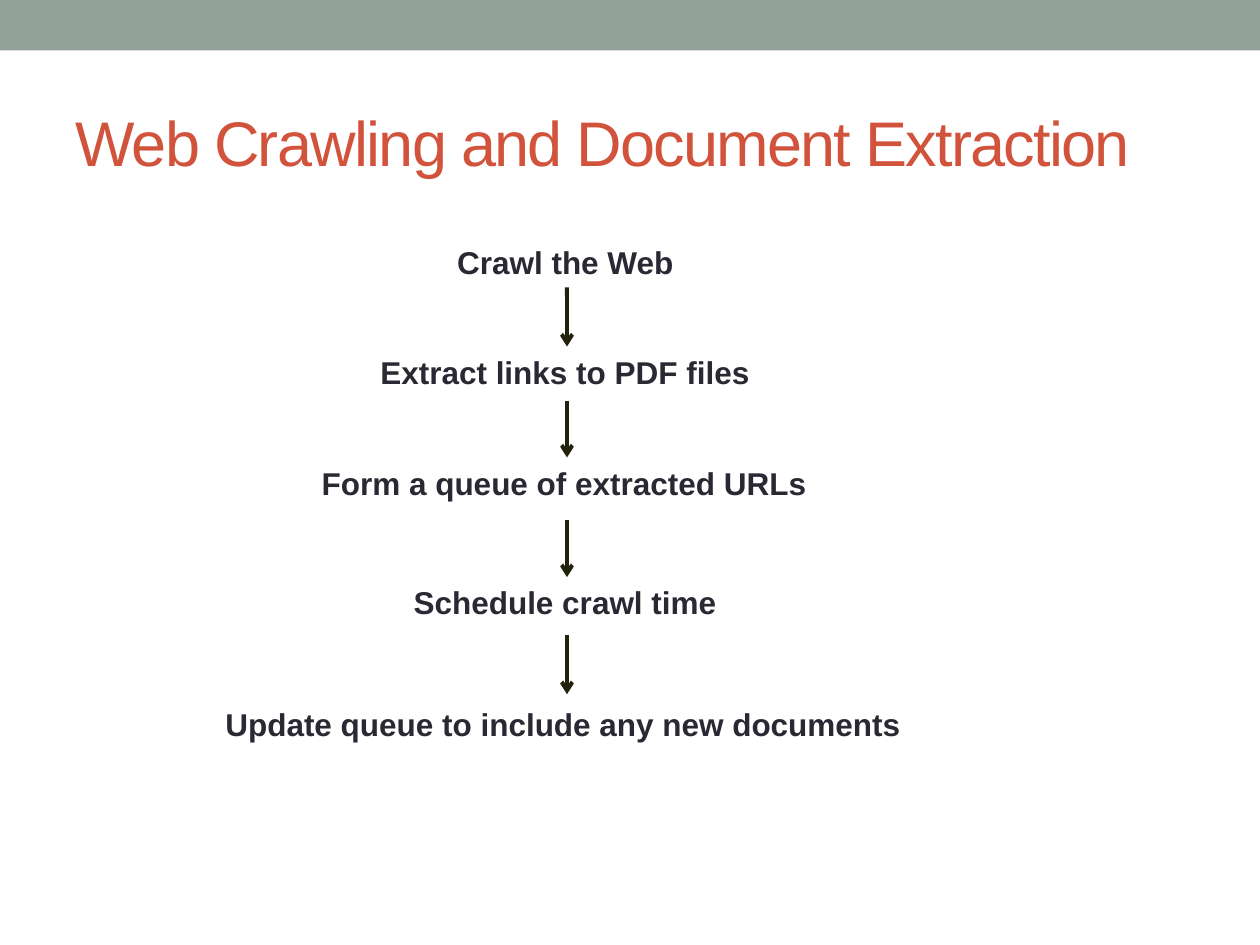
from lxml import etree
from pptx import Presentation
from pptx.dml.color import RGBColor
from pptx.enum.shapes import MSO_CONNECTOR, MSO_SHAPE
from pptx.enum.text import MSO_ANCHOR, MSO_AUTO_SIZE
from pptx.oxml.ns import qn
from pptx.util import Pt

RECT = MSO_SHAPE.RECTANGLE
STRAIGHT = MSO_CONNECTOR.STRAIGHT
TOP, MIDDLE = MSO_ANCHOR.TOP, MSO_ANCHOR.MIDDLE
FIT, NO_FIT = MSO_AUTO_SIZE.SHAPE_TO_FIT_TEXT, MSO_AUTO_SIZE.NONE

SAGE = RGBColor(0x93, 0xA2, 0x99)
RED = RGBColor(0xD2, 0x53, 0x3C)
INK = RGBColor(0x29, 0x29, 0x34)
ARROW = RGBColor(0x22, 0x21, 0x0C)

CENTER_X = 324
STEP_H = 28.8
JOIN_GAP = 2
STEPS = [
    ("Crawl the Web", 135.4, 139.7),
    ("Extract links to PDF files", 198, 227.5),
    ("Form a queue of extracted URLs", 261.4, 294.5),
    ("Schedule crawl time", 329.8, 189.4),
    ("Update queue to include any new documents", 399.6, 404.6),
]
ARROWS = [(165, 198), (229, 262.8), (297.4, 330.5), (362.9, 396.7)]


def add_band(s, x, y, w, h, color):
    sp = s.shapes.add_shape(RECT, Pt(x), Pt(y), Pt(w), Pt(h))
    sp.shadow.inherit = False
    sp.fill.solid()
    sp.fill.fore_color.rgb = color
    sp.line.fill.background()


def add_text(s, text, x, y, w, h, size=18, color=INK, bold=False,
             anchor=TOP, wrap=False, fit=FIT, spacing=None):
    sp = s.shapes.add_textbox(Pt(x), Pt(y), Pt(w), Pt(h))
    tf = sp.text_frame
    tf.word_wrap = wrap
    tf.auto_size = fit
    tf.vertical_anchor = anchor
    r = tf.paragraphs[0].add_run()
    r.text = text
    r.font.name = "Arial"
    r.font.size = Pt(size)
    r.font.bold = bold
    r.font.color.rgb = color
    if spacing is not None:
        r.font._element.set("spc", str(round(spacing * 100)))
    return sp


def add_arrow(s, upper, lower, y1, y2):
    cx = s.shapes.add_connector(STRAIGHT, Pt(CENTER_X), Pt(y1), Pt(CENTER_X), Pt(y2))
    cx.line.color.rgb = ARROW
    cx.line.width = Pt(2.25)
    etree.SubElement(cx.line._get_or_add_ln(), qn("a:tailEnd"), type="arrow")
    etree.SubElement(cx._element.spPr, qn("a:effectLst"))
    if abs(Pt(y1) - upper.top - upper.height) <= Pt(JOIN_GAP):
        cx.begin_connect(upper, 2)
    if abs(Pt(y2) - lower.top) <= Pt(JOIN_GAP):
        cx.end_connect(lower, 0)


def main():
    prs = Presentation()
    prs.slide_width, prs.slide_height = Pt(720), Pt(540)
    s = prs.slides.add_slide(prs.slide_layouts[6])
    add_band(s, 0, 0, 720, 28.8, SAGE)
    add_text(s, "Web Crawling and Document Extraction", 36, 42, 648, 78,
             size=36, color=RED, anchor=MIDDLE, wrap=True, fit=NO_FIT, spacing=-1)
    steps = [add_text(s, text, CENTER_X - w / 2, y, w, STEP_H, bold=True)
             for text, y, w in STEPS]
    for upper, lower, (y1, y2) in zip(steps, steps[1:], ARROWS):
        add_arrow(s, upper, lower, y1, y2)
    prs.save("out.pptx")


if __name__ == "__main__":
    main()
